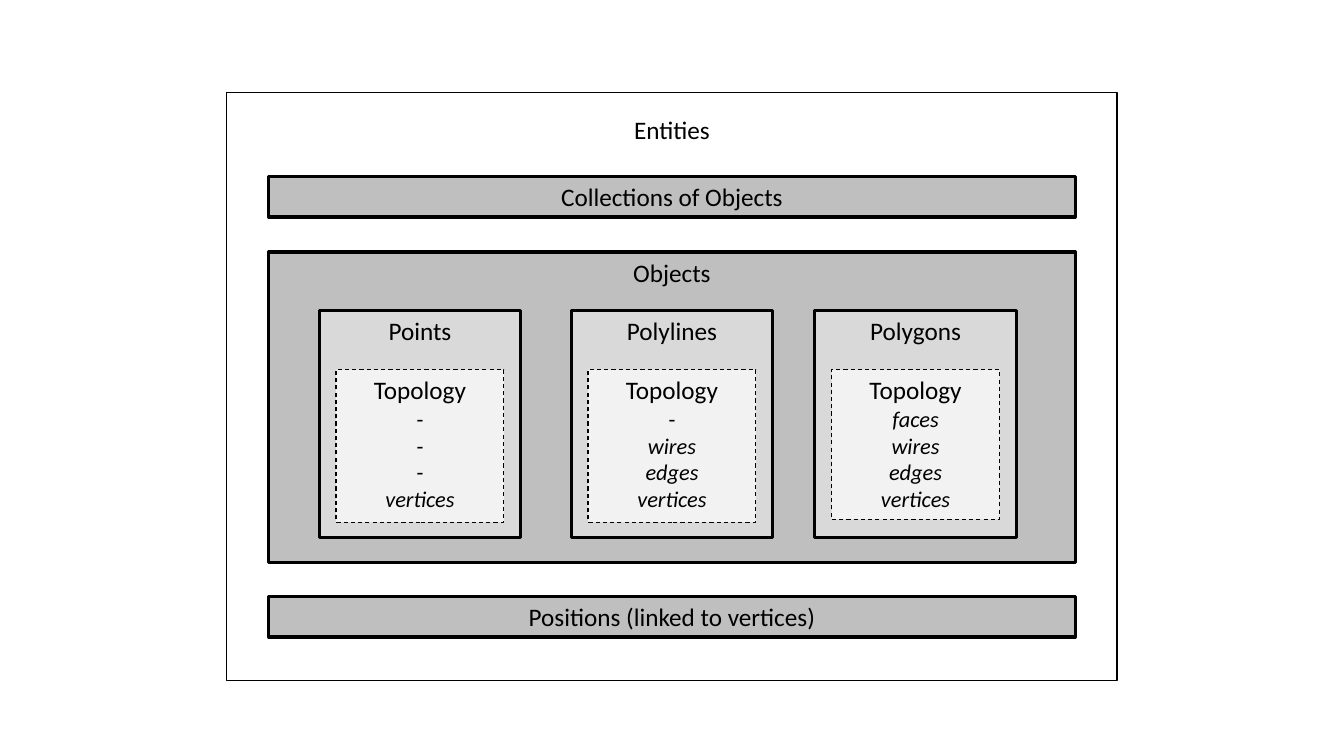
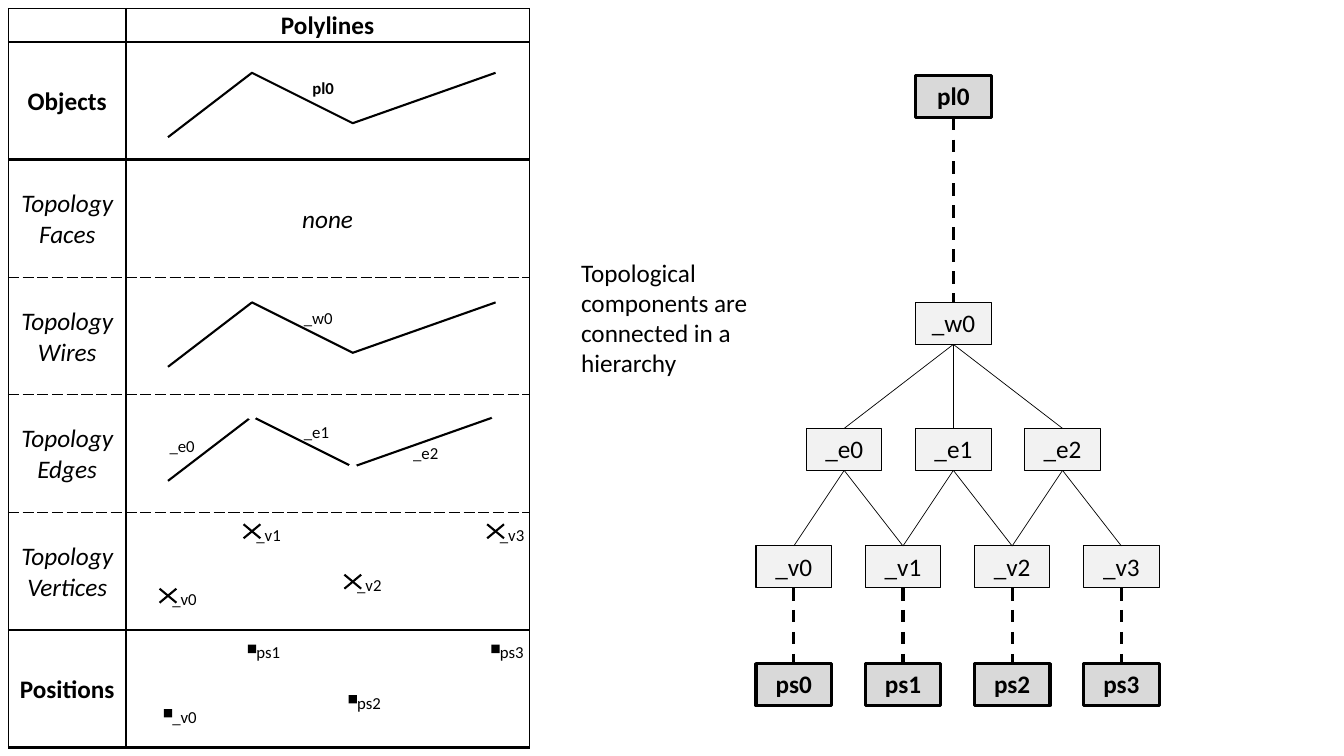
import dataclasses
import itertools

import pptx
import pptx.dml.color
import pptx.enum.dml
import pptx.enum.shapes
import pptx.enum.text
import pptx.oxml
import pptx.oxml.ns
import pptx.util

Pt = pptx.util.Pt
RGB = pptx.dml.color.RGBColor
ALIGN = pptx.enum.text.PP_ALIGN
ANCHOR = pptx.enum.text.MSO_ANCHOR
SHAPE = pptx.enum.shapes.MSO_SHAPE
DASH = pptx.enum.dml.MSO_LINE.DASH
BOTTOM, TOP = 2, 0


@dataclasses.dataclass(frozen=True)
class Theme:
    font: str = "Calibri"
    ink: RGB = RGB(0, 0, 0)
    paper: RGB = RGB(0xFF, 0xFF, 0xFF)
    dark: RGB = RGB(0xBF, 0xBF, 0xBF)
    medium: RGB = RGB(0xD9, 0xD9, 0xD9)
    light: RGB = RGB(0xF2, 0xF2, 0xF2)
    body: float = 18
    detail: float = 16
    label: float = 12
    hairline: float = 0.5
    thin: float = 0.75
    rule: float = 1
    sketch: float = 1.5
    heavy: float = 2.25


THEME = Theme()


def add_span(para, text, size=THEME.body, bold=False, italic=False):
    span = para.add_run()
    span.text = text
    span.font.name = THEME.font
    span.font.size = Pt(size)
    span.font.bold = bold
    span.font.italic = italic
    span.font.color.rgb = THEME.ink


def style_line(line, weight, dash=None):
    line.color.rgb = THEME.ink
    line.width = Pt(weight)
    if dash:
        line.dash_style = dash


def add_box(page, left, top, width, height, fill=None, weight=0, dash=None,
            kind=SHAPE.RECTANGLE):
    """Add a flat shape; no fill or a zero weight leaves that part empty."""
    box = page.shapes.add_shape(kind, Pt(left), Pt(top), Pt(width), Pt(height))
    box.shadow.inherit = False
    if fill is None:
        box.fill.background()
    else:
        box.fill.solid()
        box.fill.fore_color.rgb = fill
    if weight:
        style_line(box.line, weight, dash)
    else:
        box.line.fill.background()
    return box


def add_caption(box, text, anchor=ANCHOR.TOP, bold=False):
    """Write centred text in a box and return its paragraph."""
    box.text_frame.word_wrap = True
    box.text_frame.vertical_anchor = anchor
    para = box.text_frame.paragraphs[0]
    para.alignment = ALIGN.CENTER
    add_span(para, text, bold=bold)
    return para


def add_line(page, start, end, weight, dash=None):
    line = page.shapes.add_connector(
        pptx.enum.shapes.MSO_CONNECTOR.STRAIGHT,
        Pt(start[0]), Pt(start[1]), Pt(end[0]), Pt(end[1]))
    style_line(line.line, weight, dash)
    line._element.spPr.append(pptx.oxml.parse_xml(
        f'<a:effectLst {pptx.oxml.ns.nsdecls("a")}/>'))
    return line


def link(page, parent, child, weight, dash=None):
    """Join the bottom of one box to the top of another."""
    line = add_line(page, (0, 0), (0, 0), weight, dash)
    line.begin_connect(parent, BOTTOM)
    line.end_connect(child, TOP)


# Slide 1: nested entities

def add_object_card(page, left, top, name, levels, inner_height):
    """Draw one object type with its topology levels, '-' marking an absent one."""
    card = add_box(page, left, top, 144, 162, THEME.medium, THEME.heavy)
    add_caption(card, name)
    topology = add_box(page, left + 12, top + 42, 120, inner_height,
                       THEME.light, THEME.thin, DASH)
    para = add_caption(topology, "Topology")
    for level in levels:
        para.add_line_break()
        add_span(para, level, THEME.detail, italic=level != "-")


def add_entities_title(page, left, top, width, height):
    title = page.shapes.title
    title.left, title.top = Pt(left), Pt(top)
    title.width, title.height = Pt(width), Pt(height)
    title.text_frame.auto_size = pptx.enum.text.MSO_AUTO_SIZE.NONE
    add_caption(title, "Entities", ANCHOR.MIDDLE)


def build_entities(deck):
    page = deck.slides.add_slide(deck.slide_layouts[5])
    left, top, width = 162, 66, 636
    inner_left, inner_width = left + 30, width - 60
    add_entities_title(page, inner_left, top + 12, inner_width, 29)
    for offset, height, text in ((60, 29, "Collections of Objects"),
                                 (114, 222, "Objects"),
                                 (360, 29, "Positions (linked to vertices)")):
        band = add_box(page, inner_left, top + offset, inner_width, height,
                       THEME.dark, THEME.heavy)
        add_caption(band, text)
    cards = ((66, "Points", ("-", "-", "-", "vertices"), 109),
             (246, "Polylines", ("-", "wires", "edges", "vertices"), 109),
             (420, "Polygons", ("faces", "wires", "edges", "vertices"), 107))
    for offset, name, levels, inner_height in cards:
        add_object_card(page, left + offset, top + 156, name, levels, inner_height)
    add_box(page, left, top, width, 420, weight=THEME.rule)


# Slide 2: polyline table and hierarchy

def set_borders(cell, above, below):
    """Give a cell rules above and below, each (weight, dash), and thin sides."""
    side = (THEME.rule, "solid")
    properties = cell._tc.get_or_add_tcPr()
    for tag, (weight, dash) in zip(("lnL", "lnR", "lnT", "lnB"),
                                   (side, side, above, below)):
        properties.append(pptx.oxml.parse_xml(
            f'<a:{tag} {pptx.oxml.ns.nsdecls("a")} w="{Pt(weight)}">'
            f'<a:solidFill><a:srgbClr val="{THEME.ink}"/></a:solidFill>'
            f'<a:prstDash val="{dash}"/></a:{tag}>'))


def add_polyline_table(page, left, top):
    rows = (("", "Polylines"), ("Objects", ""), ("Topology Faces", "none"),
            ("Topology Wires", ""), ("Topology Edges", ""),
            ("Topology Vertices", ""), ("Positions", ""))
    heights = [24] + [84] * 6
    strong, dashed = (THEME.heavy, "solid"), (THEME.hairline, "sysDash")
    rules = [(THEME.rule, "solid"), strong, strong, dashed, dashed, dashed,
             strong, strong]
    table = page.shapes.add_table(len(rows), 2, Pt(left), Pt(top),
                                  Pt(372), Pt(sum(heights))).table
    table.first_row = table.horz_banding = False
    table.columns[0].width, table.columns[1].width = Pt(84), Pt(288)
    for index, texts in enumerate(rows):
        table.rows[index].height = Pt(heights[index])
        italic = texts[0].startswith("Topology")
        for column, text in enumerate(texts):
            cell = table.cell(index, column)
            set_borders(cell, rules[index], rules[index + 1])
            cell.fill.background()
            cell.margin_left = cell.margin_right = Pt(4)
            cell.margin_top, cell.margin_bottom = Pt(1.5), 0
            cell.vertical_anchor = ANCHOR.MIDDLE
            para = cell.text_frame.paragraphs[0]
            para.alignment = ALIGN.CENTER
            if text:
                add_span(para, text, bold=not italic, italic=italic)
            else:
                para.font.size = Pt(THEME.label)


def corners(left, peak):
    """Corner points of the polyline whose highest corners lie at peak."""
    return [(left + x, peak + y) for x, y in ((0, 46), (60, 0), (132, 36), (234, 0))]


def add_label(page, left, top, text, bold=False):
    label = page.shapes.add_textbox(Pt(left), Pt(top), Pt(40), Pt(22))
    label.text_frame.word_wrap = True
    label.text_frame.margin_right = 0
    add_span(label.text_frame.paragraphs[0], text, THEME.label, bold)


def add_polyline(page, points):
    start, *others = [(Pt(x), Pt(y)) for x, y in points]
    outline = page.shapes.build_freeform(*start)
    outline.add_line_segments(others, close=False)
    polyline = outline.convert_to_shape()
    polyline.shadow.inherit = False
    polyline.fill.background()
    style_line(polyline.line, THEME.sketch)


def add_edges(page, points):
    """Draw separate edges, with a white dot opening a gap at each later corner."""
    for start, end in itertools.pairwise(points):
        add_line(page, start, end, THEME.sketch)
    for x, y in points[1:]:
        add_box(page, x - 3, y - 2.5, 6, 5, THEME.paper, kind=SHAPE.OVAL)


def add_cross(page, x, y):
    for rise in (-5, 5):
        add_line(page, (x - 6, y - rise), (x + 6, y + rise), THEME.sketch)


def add_dot(page, x, y):
    add_box(page, x - 3, y - 3, 6, 6, THEME.ink)


def add_marks(page, points, names, draw_mark):
    for (x, y), name in zip(points, names):
        draw_mark(page, x, y)
        add_label(page, x - 4, y - 8.5, name)


def add_sketches(page, left, top):
    """Draw the polyline at each level, in rows measured from the table's top."""
    def level(peak):
        return corners(left, top + peak)

    add_polyline(page, level(46))
    add_label(page, left + 96, top + 46, "pl0", bold=True)
    add_polyline(page, level(210))
    add_label(page, left + 90, top + 210, "_w0")
    add_edges(page, level(291.5))
    for x, y, name in ((-6, 301.5, "_e0"), (90, 291.5, "_e1"), (168, 307, "_e2")):
        add_label(page, left + x, top + y, name)
    add_marks(page, level(373.5), ("_v0", "_v1", "_v2", "_v3"), add_cross)
    add_marks(page, level(457.5), ("_v0", "ps1", "ps2", "ps3"), add_dot)


def add_nodes(page, center, top, names, strong=False):
    """Add a row of equally spaced nodes around a centre line."""
    pitch, width = 78, 54
    left = center - (pitch * (len(names) - 1) + width) / 2
    nodes = []
    for index, name in enumerate(names):
        node = add_box(page, left + index * pitch, top, width, 30,
                       THEME.medium if strong else THEME.light,
                       THEME.heavy if strong else THEME.thin)
        add_caption(node, name, bold=strong)
        nodes.append(node)
    return nodes


def add_hierarchy(page, center, top):
    """Draw the tree from object through wire, edges and vertices to positions."""
    polyline, = add_nodes(page, center, top, ["pl0"], strong=True)
    wire, = add_nodes(page, center, top + 162, ["_w0"])
    edges = add_nodes(page, center, top + 252, ["_e0", "_e1", "_e2"])
    # The two lower rows stand slightly right of the centre line.
    vertices = add_nodes(page, center + 3, top + 336, ["_v0", "_v1", "_v2", "_v3"])
    positions = add_nodes(page, center + 3, top + 420,
                          ["ps0", "ps1", "ps2", "ps3"], strong=True)
    link(page, polyline, wire, THEME.heavy, DASH)
    for index, edge in enumerate(edges):
        link(page, wire, edge, THEME.hairline)
        for vertex in vertices[index:index + 2]:
            link(page, edge, vertex, THEME.hairline)
    for vertex, position in zip(vertices, positions):
        link(page, vertex, position, THEME.heavy, DASH)


def add_remark(page, left, top):
    remark = page.shapes.add_textbox(Pt(left), Pt(top), Pt(138), Pt(94))
    frame = remark.text_frame
    frame.word_wrap = True
    add_span(frame.paragraphs[0], "Topological")
    add_span(frame.add_paragraph(), "components are connected in a hierarchy")


def build_polylines(deck):
    page = deck.slides.add_slide(deck.slide_layouts[6])
    add_polyline_table(page, 6, 6)
    add_sketches(page, 120, 6)
    add_remark(page, 408, 180)
    add_hierarchy(page, 681, 54)


def main():
    deck = pptx.Presentation()
    deck.slide_width, deck.slide_height = Pt(960), Pt(540)
    build_entities(deck)
    build_polylines(deck)
    deck.save("out.pptx")


if __name__ == "__main__":
    main()
